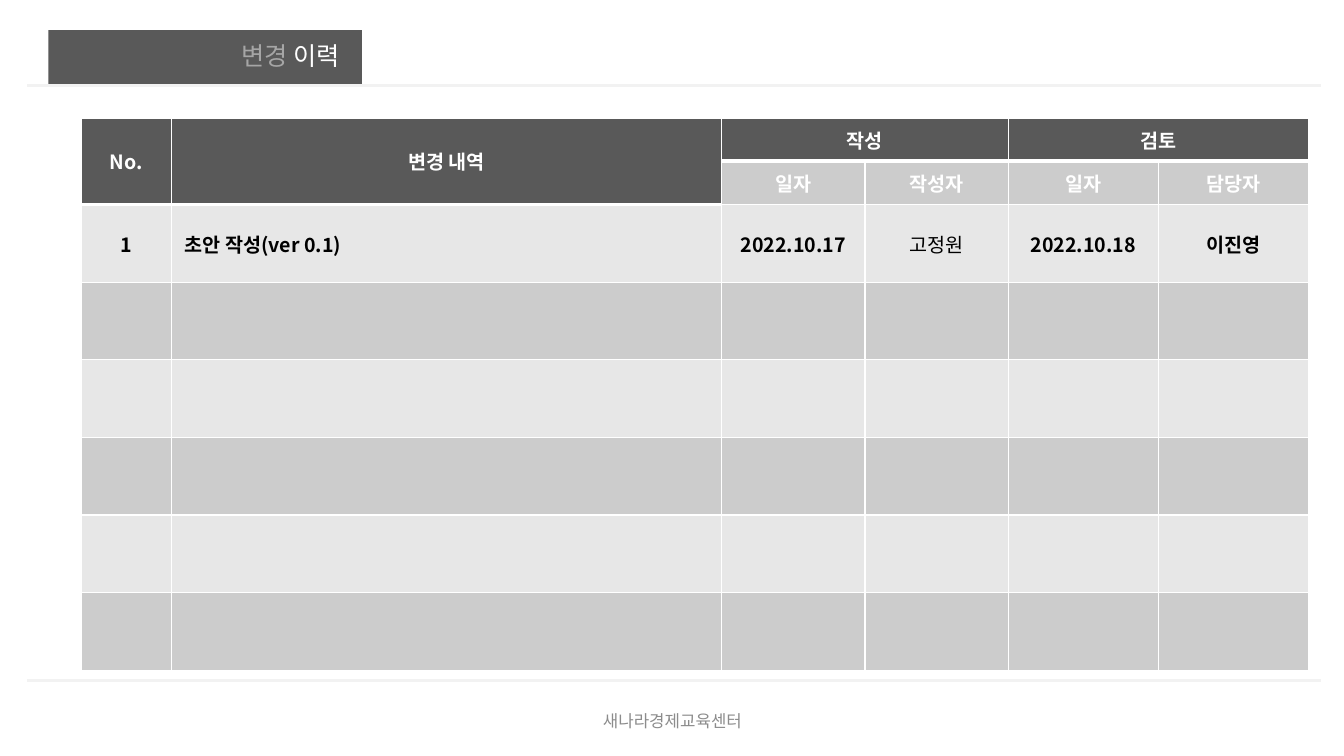
from dataclasses import dataclass
from typing import Any

from lxml.etree import SubElement
from pptx import Presentation
from pptx.dml.color import RGBColor
from pptx.enum.shapes import MSO_CONNECTOR, MSO_SHAPE
from pptx.enum.text import MSO_ANCHOR, PP_ALIGN
from pptx.oxml.ns import qn
from pptx.util import Inches, Pt


@dataclass(frozen=True)
class Theme:
    """Colours, fonts and type sizes of the slide."""
    dark: str = "595959"
    medium: str = "CCCCCC"
    light: str = "E7E7E7"
    rule: str = "F2F2F2"
    white: str = "FFFFFF"
    black: str = "000000"
    muted: str = "A6A6A6"
    footer: str = "8C8C8C"
    body_font: str = "Noto Sans CJK KR"
    title_font: str = "Arial"
    title_size: float = 18
    table_size: float = 14
    footer_size: float = 12
    rule_width: float = 2.25
    border_width: float = 1
    header_border_width: float = 3


@dataclass(frozen=True)
class Run:
    """A stretch of text in one format."""
    text: str
    size: float
    color: str
    font: str
    bold: bool = False


@dataclass(frozen=True)
class Label:
    """A text box with its place and format."""
    box: tuple[float, float, float, float]
    runs: tuple[Run, ...]
    paragraph_format: dict[str, Any]
    anchor: MSO_ANCHOR


@dataclass(frozen=True)
class Entry:
    """The text of one table cell and the cells it spans."""
    row: int
    column: int
    text: str
    rows: int = 1
    columns: int = 1
    align: PP_ALIGN = PP_ALIGN.CENTER
    bold: bool = True


THEME = Theme()
TABLE_BOX = (0.81, 1.17, 12.17, 5.48)
COLUMN_WIDTHS = (0.89, 5.46, 1.42, 1.42, 1.49, 1.49)
ROW_HEIGHTS = (0.43,) * 2 + (0.77,) * 6
HEADER_ROWS = 2
RULE_TOPS = (0.85, 6.75)
CELL_FORMAT = {
    "margin_left": Inches(0.13), "margin_right": Inches(0.13),
    "margin_top": Inches(0.07), "margin_bottom": Inches(0.07),
    "vertical_anchor": MSO_ANCHOR.MIDDLE,
}
ENTRIES = (
    Entry(0, 0, "No.", rows=2),
    Entry(0, 1, "변경 내역", rows=2),
    Entry(0, 2, "작성", columns=2),
    Entry(0, 4, "검토", columns=2),
    Entry(1, 2, "일자"),
    Entry(1, 3, "작성자"),
    Entry(1, 4, "일자"),
    Entry(1, 5, "담당자"),
    Entry(2, 0, "1"),
    Entry(2, 1, "초안 작성(ver 0.1)", align=PP_ALIGN.LEFT),
    Entry(2, 2, "2022.10.17"),
    Entry(2, 3, "고정원", bold=False),
    Entry(2, 4, "2022.10.18"),
    Entry(2, 5, "이진영"),
)
LABELS = (
    Label((0.44, 0.38, 3.03, 0.39),
          (Run("변경 ", THEME.title_size, THEME.muted, THEME.title_font),
           Run("이력", THEME.title_size, THEME.white, THEME.title_font)),
          {"alignment": PP_ALIGN.RIGHT, "line_spacing": 0.9}, MSO_ANCHOR.TOP),
    Label((4.42, 6.95, 4.5, 0.4),
          (Run("새나라경제교육센터", THEME.footer_size, THEME.footer, THEME.body_font),),
          {"alignment": PP_ALIGN.CENTER}, MSO_ANCHOR.MIDDLE),
)


def apply_format(target: Any, values: dict[str, Any]) -> None:
    """Set every attribute named in the format values."""
    for name, value in values.items():
        setattr(target, name, value)


def add_run(paragraph: Any, content: Run) -> None:
    """Append a formatted run to a paragraph."""
    run = paragraph.add_run()
    run.text = content.text
    apply_format(run.font, {"name": content.font, "size": Pt(content.size), "bold": content.bold})
    run.font.color.rgb = RGBColor.from_string(content.color)
    if content.font == THEME.body_font:
        SubElement(run.font._element, qn("a:ea"), typeface=content.font)


def add_label(slide: Any, label: Label) -> None:
    """Draw a wrapped text box."""
    text_box = slide.shapes.add_textbox(*map(Inches, label.box))
    apply_format(text_box.text_frame, {"word_wrap": True, "vertical_anchor": label.anchor})
    paragraph = text_box.text_frame.paragraphs[0]
    apply_format(paragraph, label.paragraph_format)
    for content in label.runs:
        add_run(paragraph, content)


def add_title_bar(slide: Any) -> None:
    """Draw the dark bar behind the title."""
    bar = slide.shapes.add_shape(MSO_SHAPE.RECTANGLE, *map(Inches, (0.48, 0.3, 3.11, 0.55)))
    bar.shadow.inherit = False
    bar.fill.solid()
    bar.fill.fore_color.rgb = RGBColor.from_string(THEME.dark)
    bar.line.fill.background()


def add_rule(slide: Any, top: float) -> None:
    """Draw a pale horizontal rule across the slide."""
    rule = slide.shapes.add_connector(
        MSO_CONNECTOR.STRAIGHT, *map(Inches, (0.27, top, 13.1, top)))
    rule.line.color.rgb = RGBColor.from_string(THEME.rule)
    rule.line.width = Pt(THEME.rule_width)
    SubElement(rule._element.spPr, qn("a:effectLst"))


def add_borders(cell: Any, widths: dict[str, float]) -> None:
    """Add white borders of the given widths to a cell."""
    properties = cell._tc.get_or_add_tcPr()
    for edge, width in widths.items():
        line = SubElement(properties, qn(f"a:{edge}"), w=str(Pt(width)))
        SubElement(SubElement(line, qn("a:solidFill")), qn("a:srgbClr"), val=THEME.white)


def format_cell(cell: Any, row: int, column: int) -> None:
    """Give a cell its margins, borders and fill."""
    header_depth = 2 if column < 2 else 1
    top = THEME.header_border_width if row == header_depth else THEME.border_width
    bottom = THEME.header_border_width if row < header_depth else THEME.border_width
    apply_format(cell, CELL_FORMAT)
    add_borders(cell, {"lnL": THEME.border_width, "lnR": THEME.border_width,
                       "lnT": top, "lnB": bottom})
    band = THEME.light if row % 2 == 0 else THEME.medium
    cell.fill.solid()
    cell.fill.fore_color.rgb = RGBColor.from_string(THEME.dark if row < header_depth else band)


def add_history_table(slide: Any) -> None:
    """Draw the table of changes."""
    table = slide.shapes.add_table(
        len(ROW_HEIGHTS), len(COLUMN_WIDTHS), *map(Inches, TABLE_BOX)).table
    for column, width in zip(table.columns, COLUMN_WIDTHS):
        column.width = Inches(width)
    for row, height in zip(table.rows, ROW_HEIGHTS):
        row.height = Inches(height)
    for row in range(len(ROW_HEIGHTS)):
        for column in range(len(COLUMN_WIDTHS)):
            format_cell(table.cell(row, column), row, column)
    for entry in ENTRIES:
        cell = table.cell(entry.row, entry.column)
        if entry.rows * entry.columns > 1:
            cell.merge(table.cell(entry.row + entry.rows - 1, entry.column + entry.columns - 1))
        paragraph = cell.text_frame.paragraphs[0]
        paragraph.alignment = entry.align
        color = THEME.white if entry.row < HEADER_ROWS else THEME.black
        add_run(paragraph, Run(entry.text, THEME.table_size, color, THEME.body_font, entry.bold))


def main() -> None:
    """Build and save the change history slide."""
    presentation = Presentation()
    apply_format(presentation, {"slide_width": Inches(13.33), "slide_height": Inches(7.5)})
    slide = presentation.slides.add_slide(presentation.slide_layouts[6])
    add_history_table(slide)
    add_title_bar(slide)
    for top in RULE_TOPS:
        add_rule(slide, top)
    for label in LABELS:
        add_label(slide, label)
    presentation.save("out.pptx")


if __name__ == "__main__":
    main()
